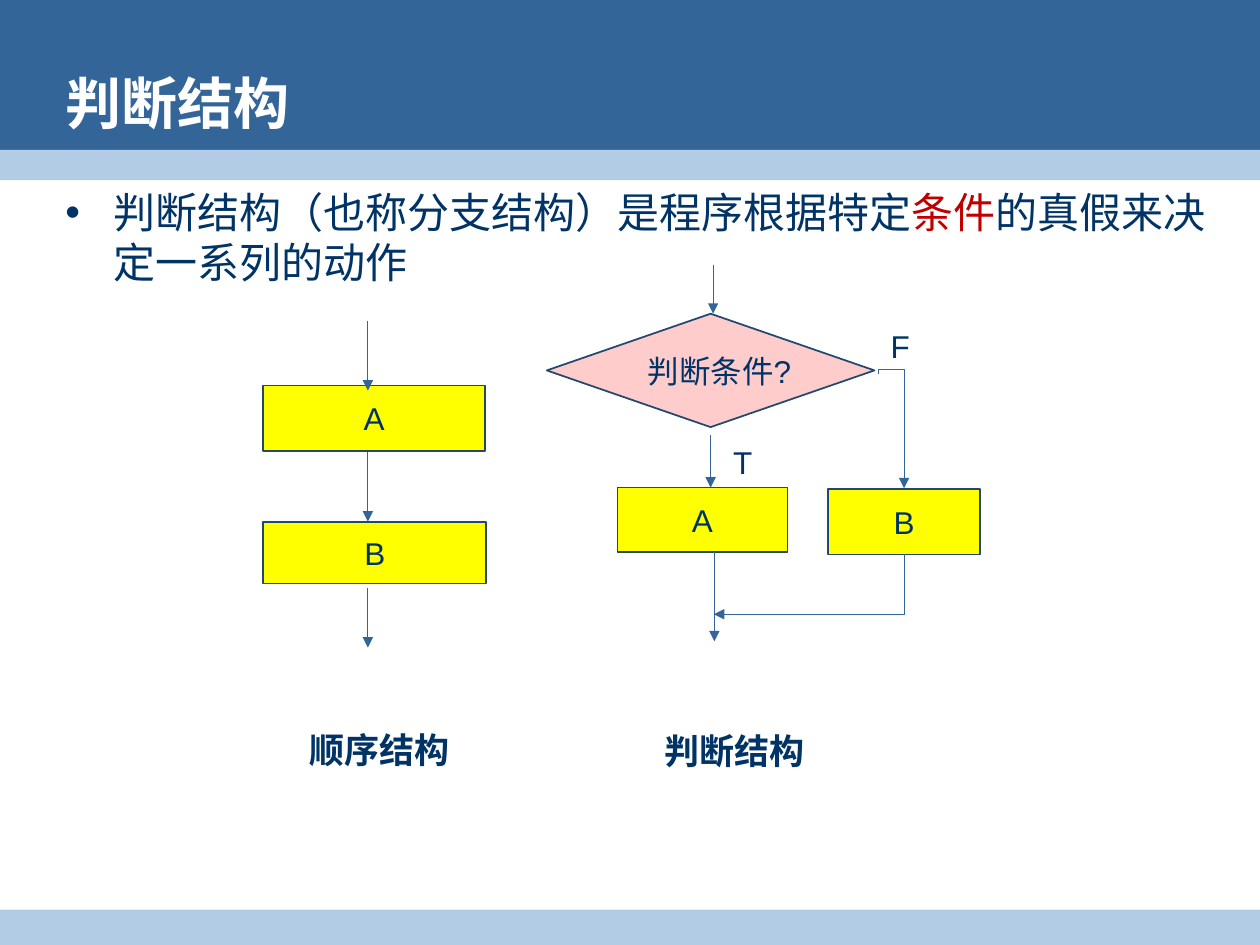
from lxml.etree import SubElement
from pptx import Presentation
from pptx.dml.color import RGBColor
from pptx.enum.shapes import MSO_CONNECTOR, MSO_SHAPE
from pptx.enum.text import MSO_ANCHOR, MSO_AUTO_SIZE, PP_ALIGN
from pptx.oxml.ns import qn
from pptx.util import Pt

PX = 9144
NAVY, BLUE, PALE, EDGE = "003366", "336599", "B3CCE6", "23486F"
YELLOW, PINK, RED, WHITE = "FFFF00", "FFCCCC", "C00000", "FFFFFF"


def color(value):
    return RGBColor.from_string(value)


def scaled(*lengths):
    return [length * PX for length in lengths]


def write(para, text, size=18, ink=NAVY, bold=False, align=PP_ALIGN.CENTER):
    para.alignment = align
    span = para.add_run()
    span.text = text
    span.font.name = "Arial"
    span.font.size = Pt(size)
    span.font.bold = bold
    span.font.color.rgb = color(ink)


def add_box(page, kind, bounds, fill, edge=None, text=None):
    box = page.shapes.add_shape(kind, *scaled(*bounds))
    box.shadow.inherit = False
    box.fill.solid()
    box.fill.fore_color.rgb = color(fill)
    if edge:
        box.line.color.rgb = color(edge)
        box.line.width = Pt(1)
    else:
        box.line.fill.background()
    if text:
        frame = box.text_frame
        frame.word_wrap = True
        frame.vertical_anchor = MSO_ANCHOR.MIDDLE
        write(frame.paragraphs[0], text)


def add_label(page, bounds, text, **style):
    label = page.shapes.add_textbox(*scaled(*bounds))
    frame = label.text_frame
    frame.word_wrap = True
    frame.auto_size = MSO_AUTO_SIZE.SHAPE_TO_FIT_TEXT
    write(frame.paragraphs[0], text, **style)


def add_arrow(page, start, end, kind=MSO_CONNECTOR.STRAIGHT):
    arrow = page.shapes.add_connector(kind, *scaled(*start, *end))
    arrow.line.color.rgb = color(BLUE)
    arrow.line.width = Pt(0.5)
    SubElement(arrow.line._get_or_add_ln(), qn("a:tailEnd"), type="triangle")
    SubElement(arrow._element.spPr, qn("a:effectLst"))
    return arrow


def add_elbow(page, start, end, preset, degrees, flip=False, adjust=None):
    properties = add_arrow(page, start, end, MSO_CONNECTOR.ELBOW)._element.spPr
    frame = properties.find(qn("a:xfrm"))
    frame.set("rot", str(degrees * 60000))
    if flip:
        frame.set("flipH", "1")
    geometry = properties.find(qn("a:prstGeom"))
    geometry.set("prst", preset)
    if adjust is not None:
        guides = geometry.find(qn("a:avLst"))
        SubElement(guides, qn("a:gd"), name="adj1", fmla=f"val {adjust}")


def draw_header(page, text):
    for bounds, fill in (
        ((0, 0, 1000, 131), BLUE),
        ((0, 119, 1000, 24), PALE),
        ((0, 722, 1000, 30), PALE),
    ):
        add_box(page, MSO_SHAPE.RECTANGLE, bounds, fill)
    title = page.shapes.title
    title.left, title.top, title.width, title.height = scaled(42, 52, 906, 58)
    title.element.getparent().append(title.element)
    frame = title.text_frame
    frame.auto_size = MSO_AUTO_SIZE.NONE
    frame.vertical_anchor = MSO_ANCHOR.MIDDLE
    write(frame.paragraphs[0], text, size=32, ink=WHITE, bold=True, align=PP_ALIGN.LEFT)


def draw_body(page, bounds, spans):
    body = page.shapes.add_textbox(*scaled(*bounds))
    body.text_frame.word_wrap = True
    para = body.text_frame.paragraphs[0]
    para.space_before = Pt(6)
    settings = para._p.get_or_add_pPr()
    settings.set("marL", str(38 * PX))
    settings.set("indent", str(-38 * PX))
    SubElement(settings, qn("a:buFont"), typeface="Arial")
    SubElement(settings, qn("a:buChar"), char="•")
    for text, ink in spans:
        write(para, text, size=24, ink=ink, align=PP_ALIGN.LEFT)


def draw_sequence(page, left, top):
    axis = left + 115
    add_box(page, MSO_SHAPE.FLOWCHART_PROCESS, (left + 32, top + 51, 176, 52), YELLOW, EDGE, "A")
    add_box(page, MSO_SHAPE.FLOWCHART_PROCESS, (left + 32, top + 159, 177, 49), YELLOW, EDGE, "B")
    for begin, finish in ((0, 55), (104, 159), (212, 259)):
        add_arrow(page, (axis, top + begin), (axis, top + finish))
    add_label(page, (left, top + 318, 248, 44), "顺序结构", size=20, bold=True)


def draw_decision(page, left, top):
    add_box(page, MSO_SHAPE.FLOWCHART_DECISION, (left, top + 39, 260, 90), PINK, EDGE, "判断条件?")
    add_box(page, MSO_SHAPE.FLOWCHART_PROCESS, (left + 223, top + 178, 121, 52), YELLOW, EDGE, "B")
    add_box(page, MSO_SHAPE.FLOWCHART_PROCESS, (left + 56, top + 177, 135, 51), YELLOW, EDGE, "A")
    for axis, begin, finish in ((132, 0, 39), (130, 135, 177), (133, 228, 299)):
        add_arrow(page, (left + axis, top + begin), (left + axis, top + finish))
    add_elbow(page, (left + 228, top + 122), (left + 319, top + 142),
              "bentConnector3", 270, flip=True, adjust=-3300)
    add_elbow(page, (left + 184, top + 178), (left + 232, top + 329), "bentConnector2", 90)
    add_label(page, (left + 263, top + 45, 82, 40), "F", align=PP_ALIGN.LEFT)
    add_label(page, (left + 138, top + 137, 82, 40), "T", align=PP_ALIGN.LEFT)
    add_label(page, (left + 25, top + 364, 248, 44), "判断结构", size=20, bold=True)


def main():
    deck = Presentation()
    deck.slide_width, deck.slide_height = scaled(1000, 750)
    page = deck.slides.add_slide(deck.slide_layouts[5])
    draw_header(page, "判断结构")
    draw_body(page, (42, 143, 948, 583), (
        ("判断结构（也称分支结构）是程序根据特定", NAVY),
        ("条件", RED),
        ("的真假来决定一系列的动作", NAVY),
    ))
    draw_sequence(page, 177, 255)
    draw_decision(page, 434, 210)
    deck.save("out.pptx")


if __name__ == "__main__":
    main()
